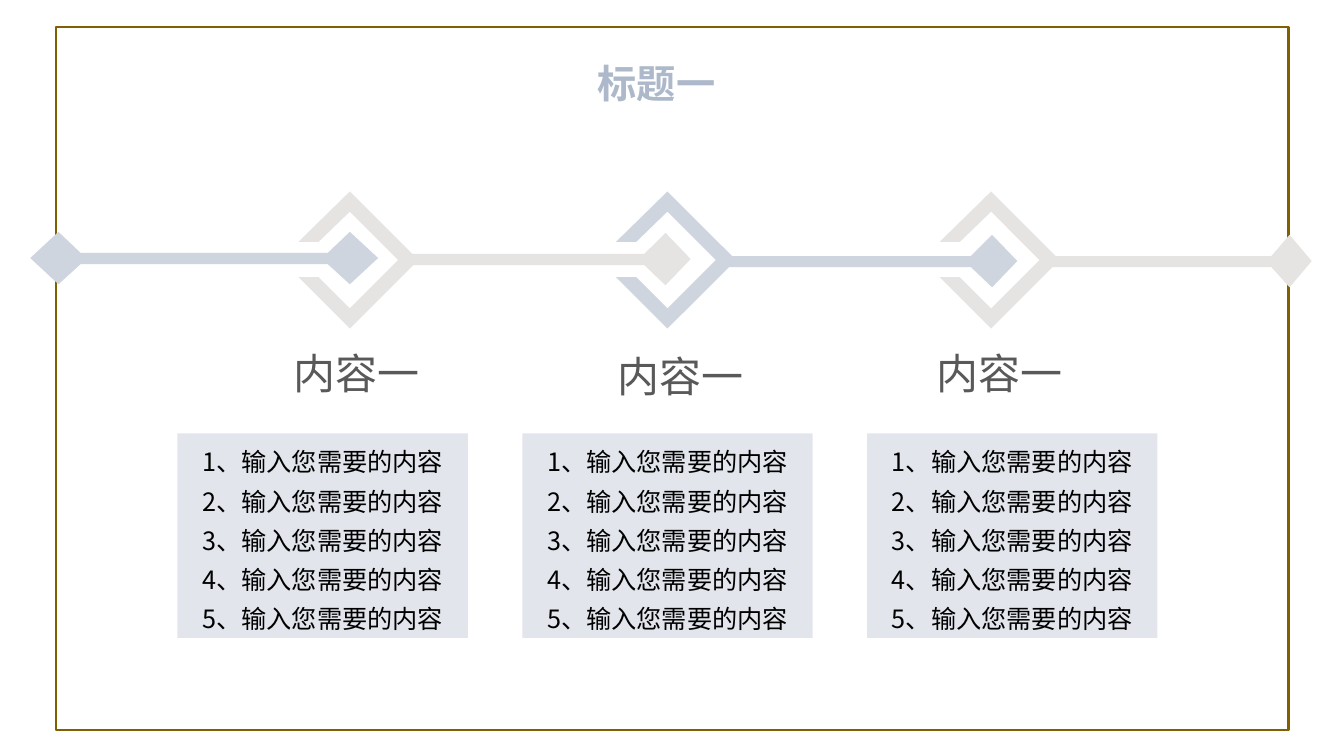
from lxml import etree
from pptx import Presentation
from pptx.dml.color import RGBColor
from pptx.enum.shapes import MSO_SHAPE
from pptx.enum.text import MSO_AUTO_SIZE, PP_ALIGN
from pptx.oxml.ns import qn
from pptx.util import Pt

PX = 9144  # 100 px to the inch
RECTANGLE = MSO_SHAPE.RECTANGLE
PROCESS = MSO_SHAPE.FLOWCHART_PROCESS
GROW = MSO_AUTO_SIZE.SHAPE_TO_FIT_TEXT
LEFT, CENTER = PP_ALIGN.LEFT, PP_ALIGN.CENTER
FONT = "Noto Sans CJK SC"
COLORS = {
    "frame": "806000", "blue": "CED5DF", "gray": "E5E4E3", "title": "ADB9CA",
    "heading": "595959", "panel": "D6DCE5", "body": "000000",
}
BRACKET = [(51, 0), (0, 50), (20, 50), (51, 20), (99, 68),
           (51, 116), (20, 85), (0, 85), (51, 136), (119, 68)]
BRACKETS = [(296, 190, "gray"), (611, 190, "blue"), (932, 190, "gray")]
# left, right, middle, neck and tip distance from the end, color
LINKS = [(397, 685, 257, 46, 25, "gray"), (721, 1009, 259, 46, 25, "blue"),
         (1043, 1301, 259, 40, 22, "gray")]
HEADINGS = [(221, 340), (542, 343), (859, 340)]
ITEMS = [f"{number}、输入您需要的内容" for number in range(1, 6)]


def color(name):
    return RGBColor.from_string(COLORS[name])


def emu(box):
    return [length * PX for length in box]


def add_outline(slide, points, fill):
    """Draw a closed filled polygon through points given in px."""
    builder = slide.shapes.build_freeform(*points[0], scale=PX)
    builder.add_line_segments(points[1:], close=True)
    shape = builder.convert_to_shape()
    shape.shadow.inherit = False
    shape.fill.solid()
    shape.fill.fore_color.rgb = color(fill)
    shape.line.fill.background()


def add_bracket(slide, left, top, fill):
    add_outline(slide, [(left + x, top + y) for x, y in BRACKET], fill)


def diamond_end(end, middle, neck, tip, side):
    """Points of a diamond at a bar's end; side is 1 on the right, -1 on the left."""
    neck_x, tip_x = end - side * neck, end - side * tip
    points = [(neck_x, middle - 5), (tip_x, middle - 26), (end, middle),
              (tip_x, middle + 26), (neck_x, middle + 6)]
    return points[::side]


def add_link(slide, left, right, middle, neck, tip, fill, double=False):
    start = [(left, middle + 6), (left, middle - 5)]
    if double:
        start = diamond_end(left, middle, neck, tip, -1)
    add_outline(slide, start + diamond_end(right, middle, neck, tip, 1), fill)


def fill_text(shape, lines, size, name, align, spacing=None, bold=False):
    frame = shape.text_frame
    frame.text = "\n".join(lines)
    frame.auto_size = GROW
    for para in frame.paragraphs:
        para.alignment = align
        para.line_spacing = spacing
        for span in para.runs:
            span.font.size = Pt(size)
            span.font.bold = bold
            span.font.name = FONT
            span.font.color.rgb = color(name)
            east_asian = etree.SubElement(span.font._element, qn("a:ea"))
            east_asian.set("typeface", FONT)


def add_label(slide, box, text, size, name, align, wrap=True, bold=False):
    label = slide.shapes.add_textbox(*emu(box))
    fill_text(label, [text], size, name, align, bold=bold)
    label.text_frame.word_wrap = wrap


def add_panel(slide, box):
    panel = slide.shapes.add_shape(RECTANGLE, *emu(box))
    panel.shadow.inherit = False
    panel.line.fill.background()
    panel.fill.solid()
    panel.fill.fore_color.rgb = color("panel")
    shade = panel._element.spPr.find(qn("a:solidFill")).find(qn("a:srgbClr"))
    etree.SubElement(shade, qn("a:alpha")).set("val", "70000")
    fill_text(panel, ITEMS, 18, "body", CENTER, spacing=1.3)
    panel.text_frame.word_wrap = True


def add_frame(slide, box):
    frame = slide.shapes.add_shape(PROCESS, *emu(box))
    frame.shadow.inherit = False
    frame.fill.background()
    frame.line.color.rgb = color("frame")
    frame.line.width = Pt(1.5)


def add_timeline(slide):
    add_link(slide, 30, 375, 256, 50, 28, "blue", double=True)
    for bracket, link in zip(BRACKETS, LINKS):
        add_bracket(slide, *bracket)
        add_link(slide, *link)


def main():
    deck = Presentation()
    deck.slide_width, deck.slide_height = emu((1333, 750))
    slide = deck.slides.add_slide(deck.slide_layouts[6])
    add_frame(slide, (56, 27, 1222, 697))
    add_timeline(slide)
    add_label(slide, (583, 54, 168, 63), "标题一", 28, "title", LEFT,
              wrap=False, bold=True)
    for column, (left, top) in enumerate(HEADINGS):
        add_label(slide, (left, top, 265, 61), "内容一", 30, "heading", CENTER)
        add_panel(slide, (176 + 342 * column, 430, 288, 203))
    deck.save("out.pptx")


if __name__ == "__main__":
    main()
